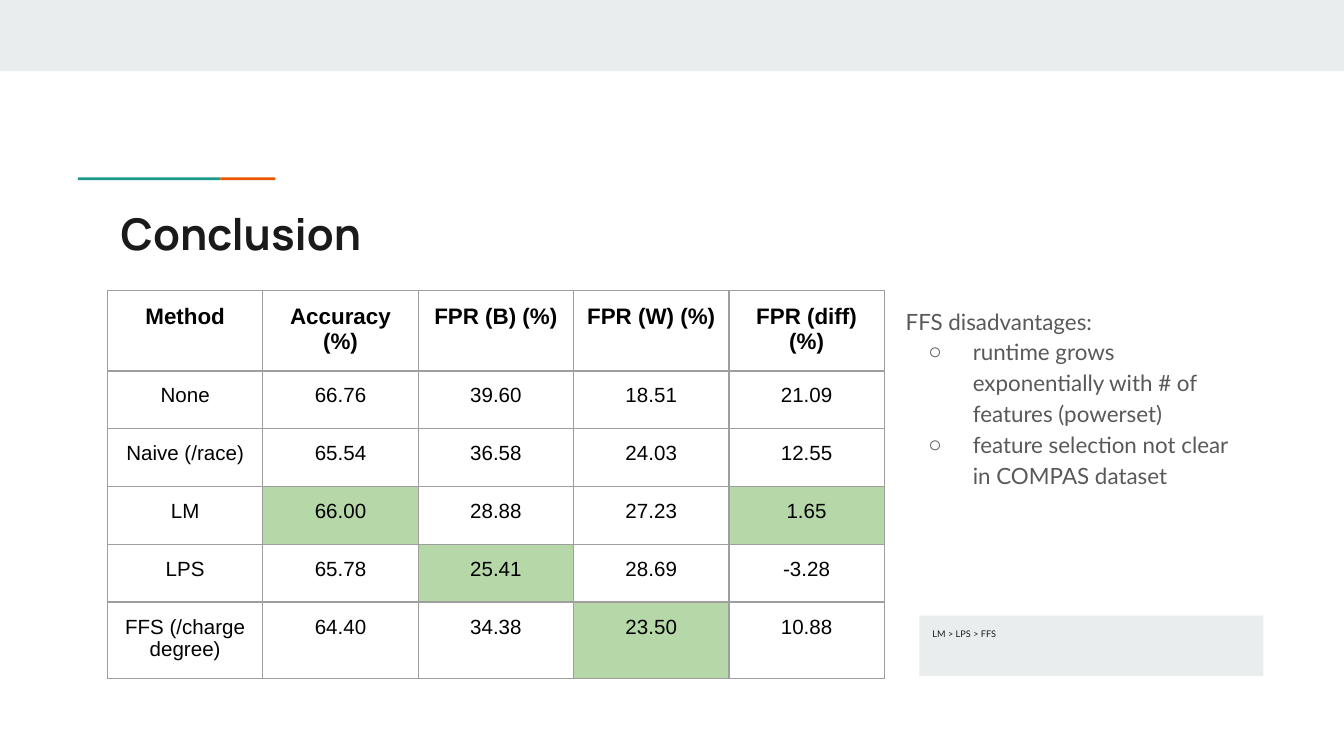
from dataclasses import dataclass
from typing import Optional

from lxml.etree import SubElement as Sub
from pptx import Presentation
from pptx.dml.color import RGBColor as Rgb
from pptx.enum.shapes import MSO_SHAPE as Preset
from pptx.enum.text import MSO_ANCHOR as Anchor, PP_ALIGN as Align
from pptx.oxml.ns import qn
from pptx.util import Inches, Pt


@dataclass(frozen=True)
class Theme:
    band: str = "E9EDEE"
    teal: str = "1A9988"
    orange: str = "EB5600"
    ink: str = "1A1A1A"
    grey: str = "595959"
    black: str = "000000"
    best: str = "B6D7A8"
    grid: str = "9E9E9E"
    heading_font: str = "Manrope"
    body_font: str = "Lato"
    table_font: str = "Arial"
    title_size: float = 23.4
    body_size: float = 12
    header_size: float = 12
    cell_size: float = 11
    note_size: float = 4.9
    grid_width: float = 0.75
    inset: float = 0.1


@dataclass(frozen=True)
class Box:
    left: float
    top: float
    width: float
    height: float

    def lengths(self) -> tuple:
        return tuple(map(Inches, (self.left, self.top, self.width, self.height)))


@dataclass(frozen=True)
class Panel:
    box: Box
    color: str


@dataclass(frozen=True)
class Result:
    values: tuple[str, ...]
    best: tuple[int, ...] = ()


THEME = Theme()

BAND = Panel(Box(0, 0, 10, 0.53), THEME.band)
ACCENTS = (
    Panel(Box(0.58, 1.32, 1.06, 0.02), THEME.teal),
    Panel(Box(1.64, 1.32, 0.41, 0.02), THEME.orange),
)
RANKING = Panel(Box(6.84, 4.58, 2.56, 0.45), THEME.band)

TABLE_WIDTH, ROW_HEIGHT = 5.78, 0.43
HEADER = ("Method", "Accuracy (%)", "FPR (B) (%)", "FPR (W) (%)", "FPR (diff) (%)")
RESULTS = (
    Result(("None", "66.76", "39.60", "18.51", "21.09")),
    Result(("Naive (/race)", "65.54", "36.58", "24.03", "12.55")),
    Result(("LM", "66.00", "28.88", "27.23", "1.65"), best=(1, 4)),
    Result(("LPS", "65.78", "25.41", "28.69", "-3.28"), best=(2,)),
    Result(("FFS (/charge degree)", "64.40", "34.38", "23.50", "10.88"), best=(3,)),
)
DRAWBACKS = (
    "runtime grows exponentially with # of features (powerset)",
    "feature selection not clear in COMPAS dataset",
)


def write(paragraph, text: str, *, size: float, font: str, color: str,
          bold: bool = False, align=Align.LEFT, spacing: Optional[float] = None,
          indent: float = 0, hanging: float = 0, bullet: str = "") -> None:
    run = paragraph.add_run()
    run.text = text
    run.font.size, run.font.name, run.font.bold = Pt(size), font, bold
    run.font.color.rgb = Rgb.from_string(color)
    paragraph.alignment, paragraph.line_spacing = align, spacing
    properties = paragraph._p.get_or_add_pPr()
    properties.set("marL", str(Inches(indent)))
    properties.set("indent", str(-Inches(hanging)))
    if bullet:
        bullet_color = Sub(properties, qn("a:buClr"))
        Sub(bullet_color, qn("a:srgbClr"), val=color)
        Sub(properties, qn("a:buFont"), typeface=THEME.table_font)
        Sub(properties, qn("a:buChar"), char=bullet)


def inset(holder) -> None:
    holder.margin_left = holder.margin_right = Inches(THEME.inset)
    holder.margin_top = holder.margin_bottom = Inches(THEME.inset)
    holder.vertical_anchor = Anchor.TOP


def prepare(frame):
    frame.word_wrap = True
    inset(frame)
    return frame


def draw_panel(slide, panel: Panel):
    shape = slide.shapes.add_shape(Preset.RECTANGLE, *panel.box.lengths())
    shape.shadow.inherit = False
    shape.fill.solid()
    shape.fill.fore_color.rgb = Rgb.from_string(panel.color)
    shape.line.fill.background()
    return shape


def add_text_frame(slide, box: Box):
    return prepare(slide.shapes.add_textbox(*box.lengths()).text_frame)


def outline(cell) -> None:
    properties = cell._tc.get_or_add_tcPr()
    for side in ("lnL", "lnR", "lnT", "lnB"):
        edge = Sub(properties, qn(f"a:{side}"), w=str(Pt(THEME.grid_width)))
        Sub(Sub(edge, qn("a:solidFill")), qn("a:srgbClr"), val=THEME.grid)


def draw_cell(cell, text: str, *, header: bool, best: bool) -> None:
    inset(cell)
    outline(cell)
    if best:
        cell.fill.solid()
        cell.fill.fore_color.rgb = Rgb.from_string(THEME.best)
    else:
        cell.fill.background()
    write(cell.text_frame.paragraphs[0], text, font=THEME.table_font,
          size=THEME.header_size if header else THEME.cell_size,
          color=THEME.black, bold=header, align=Align.CENTER)


def draw_results(slide, left: float, top: float) -> None:
    rows = (Result(HEADER), *RESULTS)
    box = Box(left, top, TABLE_WIDTH, ROW_HEIGHT * len(rows))
    table = slide.shapes.add_table(len(rows), len(HEADER), *box.lengths()).table
    table.first_row = table.horz_banding = False
    for r, result in enumerate(rows):
        for c, value in enumerate(result.values):
            draw_cell(table.cell(r, c), value, header=r == 0, best=c in result.best)


def draw_drawbacks(slide) -> None:
    frame = add_text_frame(slide, Box(6.14, 2.16, 3.26, 2.87))
    style = dict(size=THEME.body_size, font=THEME.body_font,
                 color=THEME.grey, spacing=1.15)
    write(frame.paragraphs[0], "FFS disadvantages:", indent=0.5, **style)
    for drawback in DRAWBACKS:
        paragraph = frame.add_paragraph()
        paragraph.level = 1
        write(paragraph, drawback, indent=1, hanging=0.33, bullet="○", **style)


def main() -> None:
    deck = Presentation()
    deck.slide_width = Inches(10)
    deck.slide_height = deck.slide_width * 9 // 16
    slide = deck.slides.add_slide(deck.slide_layouts[6])

    for panel in (BAND, *ACCENTS):
        draw_panel(slide, panel)
    draw_drawbacks(slide)
    title = add_text_frame(slide, Box(0.8, 1.44, 8.41, 0.59))
    write(title.paragraphs[0], "Conclusion", size=THEME.title_size,
          font=THEME.heading_font, color=THEME.ink, bold=True)
    draw_results(slide, 0.8, 2.16)
    ranking = prepare(draw_panel(slide, RANKING).text_frame)
    write(ranking.paragraphs[0], "LM > LPS > FFS", size=THEME.note_size,
          font=THEME.body_font, color=THEME.ink, spacing=0.95)

    deck.save("out.pptx")


if __name__ == "__main__":
    main()
